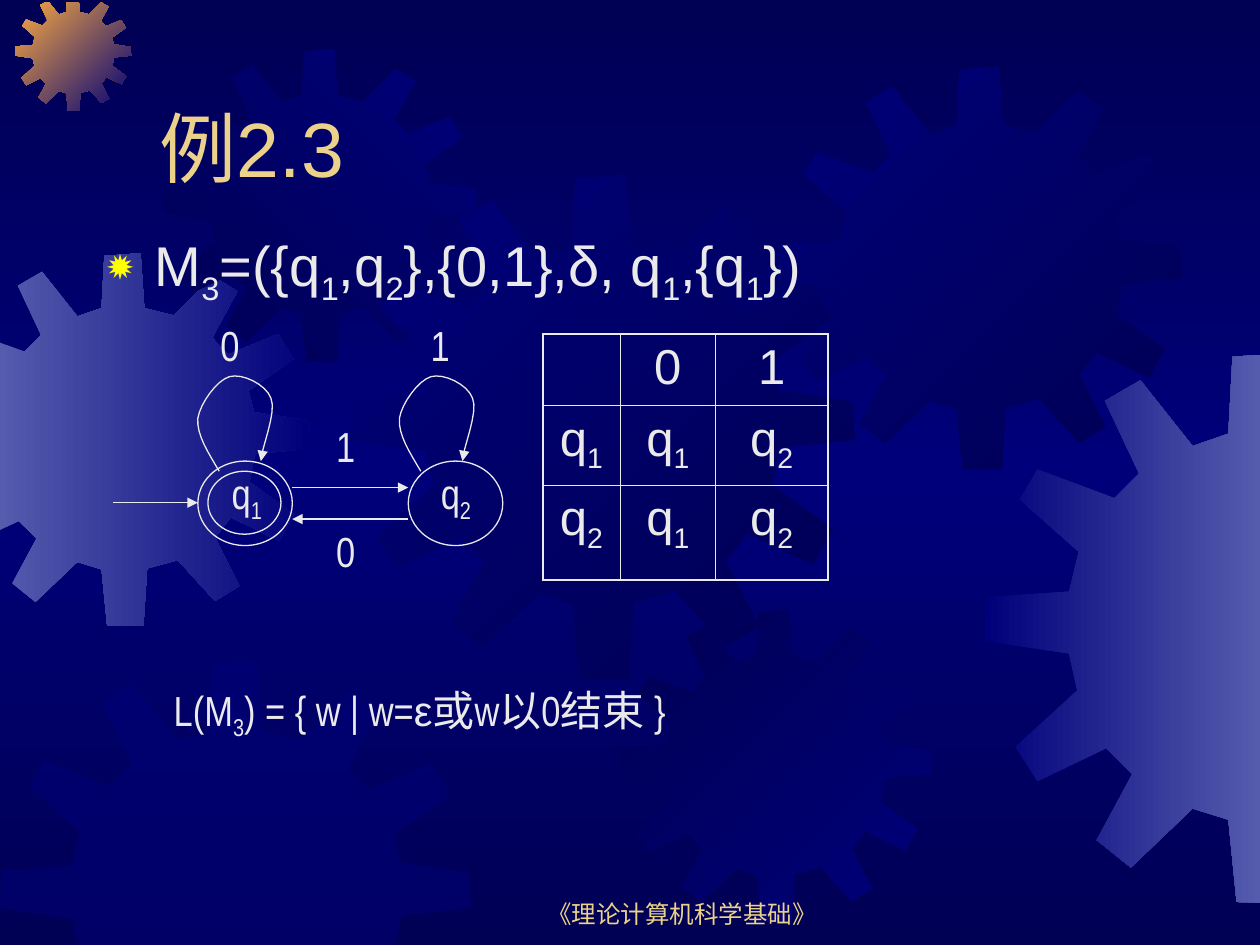
from copy import deepcopy
from dataclasses import dataclass

from lxml import etree
from pptx import Presentation
from pptx.dml.color import RGBColor
from pptx.enum.shapes import MSO_CONNECTOR, MSO_SHAPE
from pptx.enum.text import MSO_ANCHOR, PP_ALIGN
from pptx.oxml.ns import qn
from pptx.util import Inches, Pt

LINE, OVAL = MSO_CONNECTOR.STRAIGHT, MSO_SHAPE.OVAL
TOP, BOTTOM = MSO_ANCHOR.TOP, MSO_ANCHOR.BOTTOM
LEFT, CENTER = PP_ALIGN.LEFT, PP_ALIGN.CENTER


@dataclass(frozen=True)
class Theme:
    ink: str = "EAEAEA"
    gold: str = "EBD189"
    star: str = "FFFF00"
    dark: str = "000054"
    navy: str = "00007A"
    haze: str = "555BAD"
    amber: str = "FCAB40"
    font: str = "Arial"
    slim: str = "Arial Narrow"
    title: int = 44
    body: int = 32
    cell: int = 28
    label: int = 24
    foot: int = 14
    thin: float = 0.75
    outer: float = 1.08
    inner: float = 0.45


T = Theme()

# Gear outline in a square of side SPAN
SPAN = 4.01
GEAR = [
    (2.55, .67), (2.23, .59), (2.19, 0), (1.8, .03), (1.77, .59), (1.51, .68),
    (1.13, .2), (.87, .35), (1.12, .88), (.94, 1.06), (.38, .85), (.25, 1.07),
    (.68, 1.45), (.61, 1.74), (.01, 1.78), (0, 2.1), (.61, 2.19), (.67, 2.46),
    (.22, 2.87), (.38, 3.12), (.88, 2.88), (1.07, 3.07), (.81, 3.55), (1.06, 3.75),
    (1.51, 3.32), (1.77, 3.4), (1.83, 4), (2.22, 4.01), (2.26, 3.39), (2.59, 3.3),
    (2.99, 3.74), (3.25, 3.58), (2.99, 3.06), (3.16, 2.84), (3.68, 3.09), (3.84, 2.81),
    (3.36, 2.46), (3.42, 2.16), (4.01, 2.1), (4, 1.8), (3.41, 1.71), (3.35, 1.48),
    (3.83, 1.14), (3.67, .87), (3.13, 1.09), (2.96, .91), (3.23, .41), (2.97, .25)]
# Axis, limit and kept side of each slide edge
EDGES = [(0, 0, 1), (0, 10, -1), (1, 0.02, 1), (1, 7.5, -1)]

# Left, top, side, first colour, last colour, angle
GEARS = [
    (-0.5, 2.01, 2.96, T.haze, T.navy, 0),
    (0.12, -0.04, 0.92, T.amber, T.navy, 45),
    (1.3, 0.39, 2.48, T.dark, T.navy, 315),
    (2.77, 1.39, 4.01, T.navy, T.dark, 45),
    (0, 5.25, 3.74, T.navy, None, 0),
    (4.91, 4.84, 2.48, T.dark, T.navy, 45),
    (6.18, 0.53, 3.2, T.navy, T.dark, 45),
    (7.82, 2.8, 4.37, T.navy, T.haze, 0)]

# Self loop: a start point, then cubic pieces
LOOP = [(1.74, 3.74), (1.65, 3.59), (1.56, 3.45), (1.57, 3.32),
        (1.59, 3.2), (1.72, 3.02), (1.82, 2.99),
        (1.92, 2.96), (2.11, 3.05), (2.15, 3.16),
        (2.2, 3.27), (2.07, 3.57), (2.07, 3.66)]


def rgb(code):
    return RGBColor.from_string(code)


def node(parent, tag, **attrs):
    return etree.SubElement(parent, qn(tag), attrs)


def write(frame, text, para=None, size=T.label, font=T.slim, color=T.ink,
          align=LEFT, before=0):
    """Add text; the letter after each underscore is a subscript."""
    if para is None:
        para = frame.paragraphs[0]
        para.alignment, para.space_before = align, Pt(before)
    first, *rest = text.split("_")
    parts = [(first, False)]
    for bit in rest:
        parts += [(bit[0], True), (bit[1:], False)]
    for part, sub in parts:
        if part:
            run = para.add_run()
            run.text = part
            run.font.size, run.font.name = Pt(size), font
            run.font.color.rgb = rgb(color)
            if sub:
                run.font._rPr.set("baseline", "-25000")
    return para


def box(slide, x, y, w, h, text, anchor=TOP, **style):
    frame = slide.shapes.add_textbox(*map(Inches, (x, y, w, h))).text_frame
    frame.word_wrap, frame.vertical_anchor = True, anchor
    return frame, write(frame, text, **style)


def shade(fill, first, last, angle):
    fill.gradient()
    fill.gradient_angle = -angle % 360
    for stop, color in zip(fill.gradient_stops, (first, last)):
        stop.color.rgb = rgb(color)


def outline(slide, points, close):
    spots = [(Inches(x), Inches(y)) for x, y in points]
    pen = slide.shapes.build_freeform(*spots[0])
    pen.add_line_segments(spots[1:], close=close)
    shape = pen.convert_to_shape()
    shape.shadow.inherit = False
    return shape


def clip(points, axis, edge, side):
    kept = []
    for a, b in zip(points, points[1:] + points[:1]):
        da, db = (side * (p[axis] - edge) for p in (a, b))
        if da >= 0:
            kept.append(a)
        if da * db < 0:
            t = da / (da - db)
            kept.append(tuple(m + t * (n - m) for m, n in zip(a, b)))
    return kept


def gear(slide, x, y, side, first, last, angle):
    points = [(x + u * side / SPAN, y + v * side / SPAN) for u, v in GEAR]
    for edge in EDGES:
        points = clip(points, *edge)
    shape = outline(slide, points, True)
    shape.line.fill.background()
    if last:
        shade(shape.fill, first, last, angle)
    else:
        shape.fill.solid()
        shape.fill.fore_color.rgb = rgb(first)
        color = next(shape.element.spPr.iter(qn("a:srgbClr")))
        node(color, "a:alpha", val="50000")


def ink(line, arrow=False):
    line.color.rgb, line.width = rgb(T.ink), Pt(T.thin)
    if arrow:
        node(line._get_or_add_ln(), "a:tailEnd", type="triangle")


def ring(slide, x, y, w, h):
    shape = slide.shapes.add_shape(OVAL, *map(Inches, (x, y, w, h)))
    shape.shadow.inherit = False
    shape.fill.background()
    ink(shape.line)


def arrow(slide, x1, x2, y):
    link = slide.shapes.add_connector(LINE, *map(Inches, (x1, y, x2, y)))
    ink(link.line, True)
    node(link.element.spPr, "a:effectLst")


def loop(slide, shift, steps=8):
    points = [LOOP[0]]
    for i in range(0, len(LOOP) - 1, 3):
        a, b, c, d = LOOP[i:i + 4]
        for k in range(1, steps + 1):
            t = k / steps
            s = 1 - t
            points.append(tuple(
                s**3 * a[j] + 3 * s * s * t * b[j] + 3 * s * t * t * c[j] + t**3 * d[j]
                for j in (0, 1)))
    shape = outline(slide, [(x + shift, y) for x, y in points], False)
    shape.fill.background()
    ink(shape.line, True)


def border(cell, edges):
    props = cell._tc.get_or_add_tcPr()
    for side, width in zip("LRTB", edges):
        line = node(props, "a:ln" + side, w=str(Pt(width)))
        node(node(line, "a:solidFill"), "a:srgbClr", val=T.ink)
    cell.fill.background()


def grid(slide, rows, widths, heights):
    table = slide.shapes.add_table(
        len(rows), len(widths), Inches(4.31), Inches(2.65),
        Inches(sum(widths)), Inches(sum(heights))).table
    table.first_row = table.horz_banding = False
    for col, width in zip(table.columns, widths):
        col.width = Inches(width)
    for r, (row, height) in enumerate(zip(rows, heights)):
        table.rows[r].height = Inches(height)
        for c, text in enumerate(row):
            cell = table.cell(r, c)
            ends = (c == 0, c == len(row) - 1, r == 0, r == len(rows) - 1)
            border(cell, [T.outer if end else T.inner for end in ends])
            write(cell.text_frame, text, size=T.cell, font=T.font, align=CENTER, before=7)


def main():
    deck = Presentation()
    deck.slide_width, deck.slide_height = Inches(10), Inches(7.5)
    slide = deck.slides.add_slide(deck.slide_layouts[6])

    # Background, dark at both ends, and gears
    back = slide.background.fill
    shade(back, T.dark, T.navy, 90)
    stop = next(slide.element.iter(qn("a:gs")))
    stop.getparent().append(deepcopy(stop))
    for place, stop in zip((0, 0.5, 1), back.gradient_stops):
        stop.position = place
    for item in GEARS:
        gear(slide, *item)

    # Footer, title and definition
    box(slide, 3.83, 6.92, 3.17, 0.5, "《理论计算机科学基础》", anchor=BOTTOM,
        size=T.foot, font=T.font, color=T.gold, align=CENTER)
    box(slide, 1.17, 0.33, 8.5, 1.25, "例2.3", anchor=BOTTOM,
        size=T.title, font=T.font, color=T.gold)
    _, para = box(slide, 0.75, 1.78, 8.5, 0.83, "M_3=({q_1,q_2},{0,1},δ, q_1,{q_1})",
                  size=T.body, font=T.font, before=8)
    props = para._p.get_or_add_pPr()
    props.set("marL", str(Inches(0.38)))
    props.set("indent", str(Inches(-0.38)))
    node(node(props, "a:buClr"), "a:srgbClr", val=T.star)
    node(props, "a:buSzPct", val="80000")
    node(props, "a:buChar", char="✹")

    # Transition table
    grid(slide, [("", "0", "1"), ("q_1", "q_1", "q_2"), ("q_2", "q_1", "q_2")],
         (0.61, 0.76, 0.89), (0.57, 0.63, 0.75))

    # State diagram
    for x, y, w, h in [(1.57, 3.66, 0.75, 0.67), (3.24, 3.66, 0.75, 0.67),
                       (1.65, 3.74, 0.58, 0.5)]:
        ring(slide, x, y, w, h)
    for ends in [(0.9, 1.57, 3.99), (2.32, 3.24, 3.87), (3.24, 2.32, 4.12)]:
        arrow(slide, *ends)
    for shift in (0, 1.6):
        loop(slide, shift)
    for x, y, text in [(1.74, 3.66, "q_1"), (3.4, 3.66, "q_2"), (1.65, 2.49, "0"),
                       (3.32, 2.49, "1"), (2.57, 3.29, "1"), (2.57, 4.12, "0")]:
        box(slide, x, y, 0.5, 0.5, text, before=15)

    # Accepted language
    frame, para = box(slide, 1.28, 5.38, 4.58, 0.56, "L(M_3) = { w | w=", before=15)
    write(frame, "ε", para=para, font=T.font)
    write(frame, "或w以0结束 }", para=para)

    deck.save("out.pptx")


if __name__ == "__main__":
    main()
